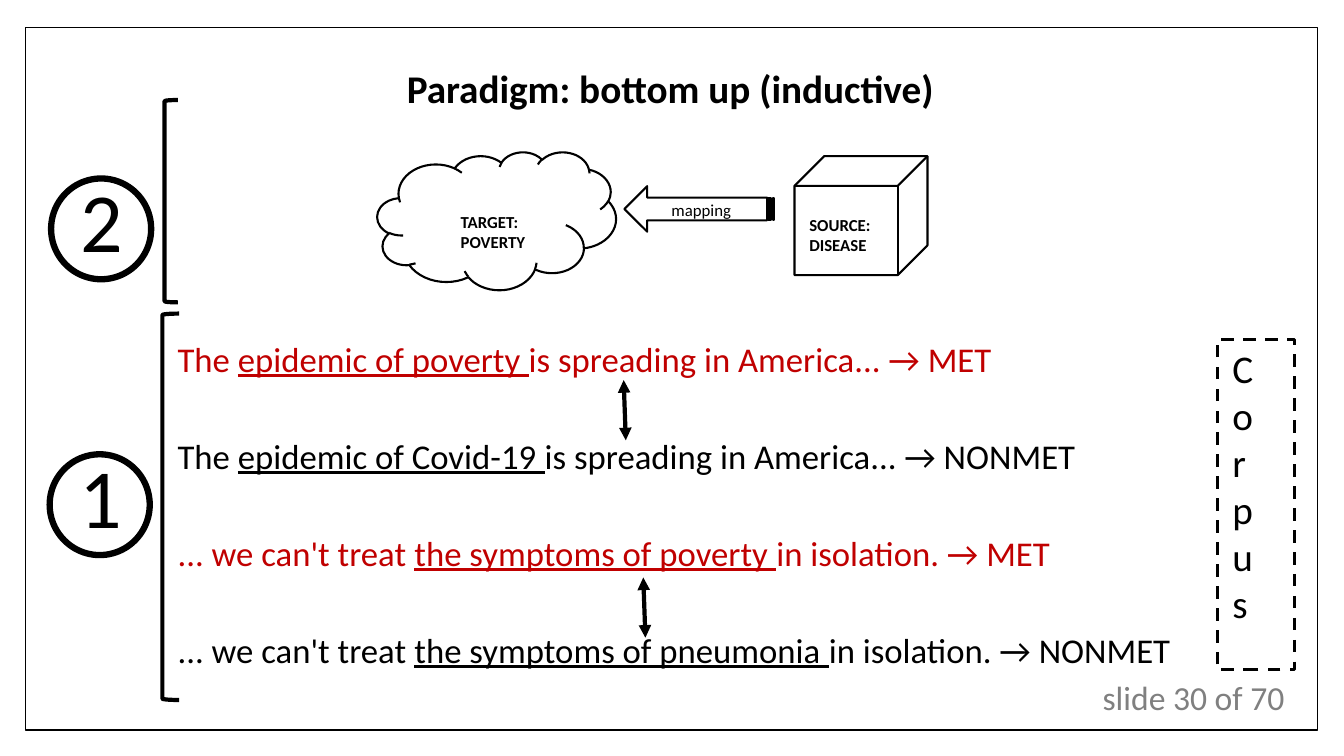
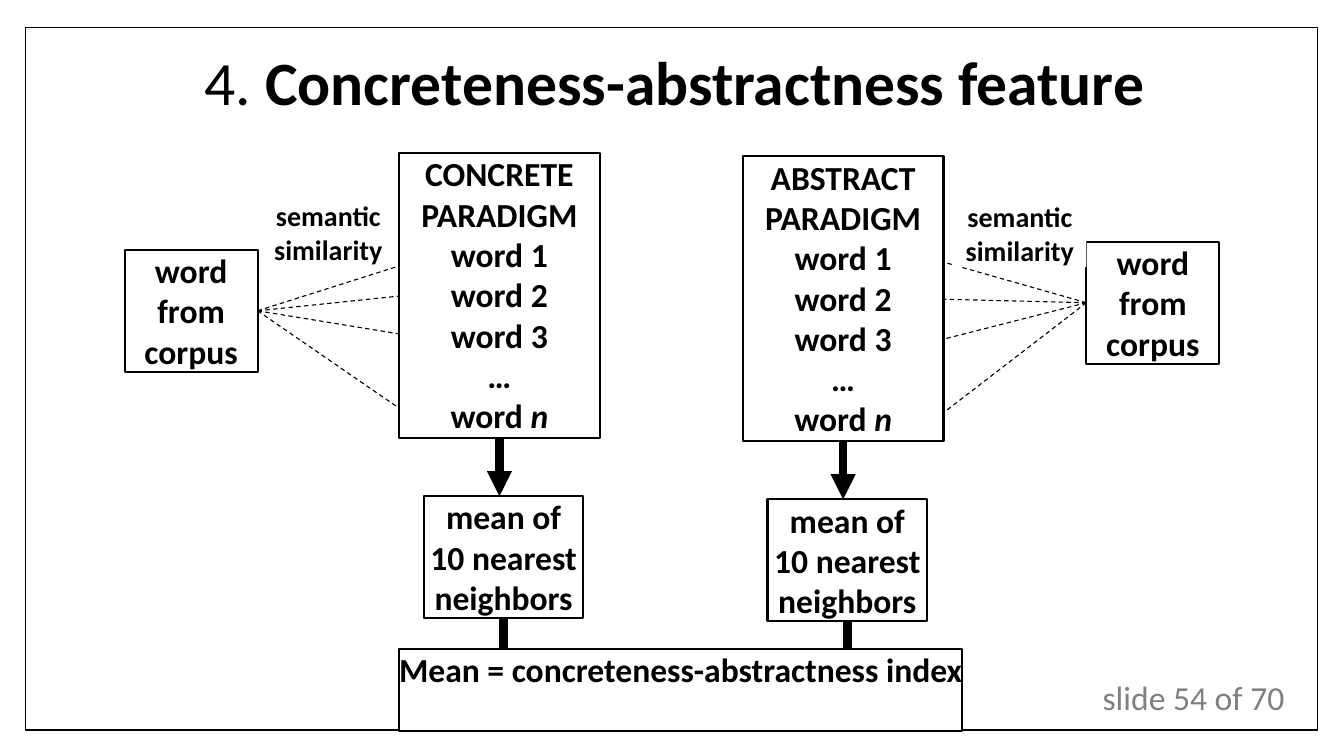
from collections import namedtuple
from dataclasses import dataclass

from lxml import etree
from pptx import Presentation
from pptx import util as u
from pptx.dml.color import RGBColor
from pptx.enum import dml, shapes, text
from pptx.oxml import ns

Pt = u.Pt
Box = namedtuple("Box", "left top width height")


@dataclass(frozen=True)
class Theme:
    font: str = "Calibri"
    ink: str = "000000"
    paper: str = "FFFFFF"
    accent: str = "C00000"
    muted: str = "808080"
    title: float = 44
    heading: float = 28
    sentence: float = 24.8
    body: float = 24
    label: float = 20
    caption: float = 12
    numeral: float = 60
    hairline: float = 0.79
    frame: float = 1
    outline: float = 1.5
    dashed: float = 2.25
    bracket: float = 3
    ring: float = 4.5
    heavy: float = 6


THEME = Theme()
PAGE = Box(0, 0, 960, 540)
FRAME = Box(18, 19.5, 923, 502)
INSET = (7.2, 3.6, 7.2, 3.6)
TIGHT = (0, 0, 0, 0)
CENTER = text.PP_ALIGN.CENTER
DASH = dml.MSO_LINE.DASH
KIND = shapes.MSO_SHAPE


def points(box):
    return [Pt(value) for value in box]


def color(value):
    return RGBColor.from_string(value)


def inside(box, left, top, width, height):
    return Box(box.left + left, box.top + top, width, height)


def write(shape, paragraphs, size, ink=THEME.ink, bold=False, align=None,
          inset=INSET, wrap=True, anchor=text.MSO_ANCHOR.TOP, spacing=None, gap=None):
    frame = shape.text_frame
    frame.word_wrap = wrap
    frame.vertical_anchor = anchor
    (frame.margin_left, frame.margin_top,
     frame.margin_right, frame.margin_bottom) = points(inset)
    for index, runs in enumerate(paragraphs):
        paragraph = frame.add_paragraph() if index else frame.paragraphs[0]
        paragraph.alignment = align or text.PP_ALIGN.LEFT
        if spacing:
            paragraph.line_spacing = spacing
        if gap and index:
            paragraph.space_before = Pt(gap)
        for item in [runs] if isinstance(runs, str) else runs:
            content, style = (item, {}) if isinstance(item, str) else item
            run = paragraph.add_run()
            run.text = content
            font = run.font
            font.name = THEME.font
            font.size = Pt(size)
            font.bold = style.get("bold", bold)
            font.italic = style.get("italic")
            font.underline = style.get("underline")
            font.color.rgb = color(style.get("ink", ink))


def add_text(slide, box, paragraphs, size, **style):
    shape = slide.shapes.add_textbox(*points(box))
    write(shape, paragraphs, size, **style)
    return shape


def set_line(line, width, dash=None):
    line.color.rgb = color(THEME.ink)
    line.width = Pt(width)
    if dash:
        line.dash_style = dash


def add_shape(slide, kind, box, width=THEME.outline, filled=False, dash=None):
    shape = slide.shapes.add_shape(kind, *points(box))
    shape.shadow.inherit = False
    if filled:
        shape.fill.solid()
        shape.fill.fore_color.rgb = color(THEME.paper)
    else:
        shape.fill.background()
    if width:
        set_line(shape.line, width, dash)
    else:
        shape.line.fill.background()
    return shape


def add_card(slide, box, paragraphs, size=THEME.body, width=THEME.outline, wrap=True):
    shape = add_shape(slide, KIND.RECTANGLE, box, width, filled=True)
    write(shape, paragraphs, size, bold=True, align=CENTER, inset=TIGHT, wrap=wrap)
    return shape


def add_line(slide, start, end, width, dash=None, arrows=(), joined=None):
    connector = slide.shapes.add_connector(
        shapes.MSO_CONNECTOR.STRAIGHT, *points(start + end))
    if joined:
        connector.begin_connect(*joined)
    set_line(connector.line, width, dash)
    properties = connector._element.spPr
    for name in arrows:
        etree.SubElement(properties.find(ns.qn("a:ln")), ns.qn("a:" + name), type="triangle")
    etree.SubElement(properties, ns.qn("a:effectLst"))
    return connector


def start_slide(presentation, number):
    slide = presentation.slides.add_slide(presentation.slide_layouts[6])
    add_shape(slide, KIND.RECTANGLE, FRAME, THEME.frame, filled=True)
    add_text(slide, inside(FRAME, 762.5, 460.5, 159, 36),
             [f"slide {number} of 70"], THEME.body, ink=THEME.muted)
    return slide


def draw_mapping(slide, box):
    add_shape(slide, KIND.CLOUD, inside(box, 0, 0, 170.5, 98.5))
    add_text(slide, inside(box, 52.5, 39, 74, 36), ["TARGET:", "POVERTY"],
             THEME.caption, bold=True)
    add_shape(slide, KIND.CUBE, inside(box, 298, 3, 95, 85))
    add_text(slide, inside(box, 301.5, 41, 66, 36), ["SOURCE:", "DISEASE"],
             THEME.caption, bold=True)
    arrow = add_shape(slide, KIND.STRIPED_RIGHT_ARROW, inside(box, 176.5, 24.5, 107, 32.5))
    arrow.rotation = 180
    add_text(slide, inside(box, 203, 30.5, 59, 21.5), ["mapping"], THEME.caption)


def draw_sentences(slide, box):
    examples = [
        ("The ", "epidemic of poverty ", "is spreading in America... → MET"),
        ("The ", "epidemic of Covid-19 ", "is spreading in America... → NONMET"),
        ("... we can't treat ", "the symptoms of poverty ", "in isolation. → MET"),
        ("... we can't treat ", "the symptoms of pneumonia ", "in isolation. → NONMET"),
    ]
    paragraphs = []
    for index, (before, phrase, after) in enumerate(examples):
        ink = THEME.ink if index % 2 else THEME.accent
        paragraphs.append([(before, {"ink": ink}),
                           (phrase, {"ink": ink, "underline": True}),
                           (after, {"ink": ink})])
    add_text(slide, box, paragraphs, THEME.sentence, spacing=0.7, gap=48.5,
             inset=(10.8, 3.6, 7.2, 3.6))
    for left, top in ((329.5, 26), (343.5, 167)):
        start = (box.left + left, box.top + top)
        end = (start[0] + 1.5, start[1] + 43)
        add_line(slide, start, end, THEME.bracket, arrows=("headEnd", "tailEnd"))


def draw_step(slide, number, ring, bracket):
    add_shape(slide, KIND.OVAL, ring, THEME.ring)
    add_text(slide, inside(ring, 14, -10.75, 41, 80), [number], THEME.numeral)
    add_shape(slide, KIND.LEFT_BRACKET, bracket, THEME.bracket)


def draw_corpus(slide, box):
    corpus = add_shape(slide, KIND.RECTANGLE, box, THEME.dashed, dash=DASH)
    write(corpus, ["Corpus"], THEME.heading, inset=(10.8, 3.6, 7.2, 3.6))
    corpus.text_frame._txBody.bodyPr.set("vert", "wordArtVert")


def build_paradigm_slide(presentation):
    slide = start_slide(presentation, 30)
    add_text(slide, Box(283.5, 42.5, 436, 41), ["Paradigm: bottom up (inductive)"],
             THEME.heading, bold=True)
    draw_mapping(slide, Box(269.5, 108.5, 393, 98.5))
    draw_sentences(slide, Box(116, 245.5, 771, 240))
    draw_step(slide, "1", Box(35.5, 324.5, 71.5, 72), Box(116, 224, 12, 276))
    draw_step(slide, "2", Box(36.5, 127.5, 71.5, 72), Box(117.5, 71.5, 9.5, 144.5))
    draw_corpus(slide, Box(869.5, 242.5, 55, 236))


def draw_paradigm(slide, box, name, word_offset, label_offset, targets):
    word_on_left = word_offset[0] < 0
    edge = box.left if word_on_left else box.left + box.width
    middle = box.left + box.width / 2
    bottom = box.top + box.height
    paradigm = add_card(slide, box, [f"{name} PARADIGM", "word 1", "word 2", "word 3", "…",
                                     ["word ", ("n", {"italic": True})]])
    word_box = inside(box, *word_offset, 95, 87)
    word = add_card(slide, word_box, ["word from corpus"])
    hub = (word_box.left + (word_box.width if word_on_left else 0),
           word_box.top + word_box.height / 2)
    for target in targets:
        add_line(slide, hub, (edge, box.top + target), THEME.hairline, DASH,
                 joined=(word, 3 if word_on_left else 1))
    add_card(slide, inside(box, *label_offset, 95, 48), ["semantic similarity"],
             THEME.label, width=None)
    mean_box = inside(box, 17.75, 245, 114, 87)
    add_line(slide, (middle, bottom), (middle, mean_box.top), THEME.heavy,
             arrows=("tailEnd",), joined=(paradigm, 2))
    mean = add_card(slide, mean_box, ["mean of", "10 nearest neighbors"])
    stem = mean_box.left + mean_box.width / 2
    foot = mean_box.top + mean_box.height
    add_line(slide, (stem, foot), (stem, foot + 33), THEME.heavy, joined=(mean, 2))


def build_feature_slide(presentation):
    slide = start_slide(presentation, 54)
    add_text(slide, Box(93.5, 8, 777.5, 106.5),
             [["4. ", ("Concreteness-abstractness feature", {"bold": True})]],
             THEME.title, align=CENTER, anchor=text.MSO_ANCHOR.MIDDLE, spacing=0.9)
    draw_paradigm(slide, Box(285, 109.5, 143.5, 203.5), "CONCRETE",
                  (-196, 69), (-98, 32.5), (80.5, 102, 129, 182))
    draw_paradigm(slide, Box(530.5, 111.75, 143.5, 203.5), "ABSTRACT",
                  (245.5, 61), (150.5, 31), (75.5, 102, 130.5, 183))
    add_card(slide, Box(285, 463.75, 402.5, 58.25),
             ["Mean = concreteness-abstractness index"], wrap=False)


def main():
    presentation = Presentation()
    presentation.slide_width = Pt(PAGE.width)
    presentation.slide_height = Pt(PAGE.height)
    build_paradigm_slide(presentation)
    build_feature_slide(presentation)
    presentation.save("out.pptx")


if __name__ == "__main__":
    main()
